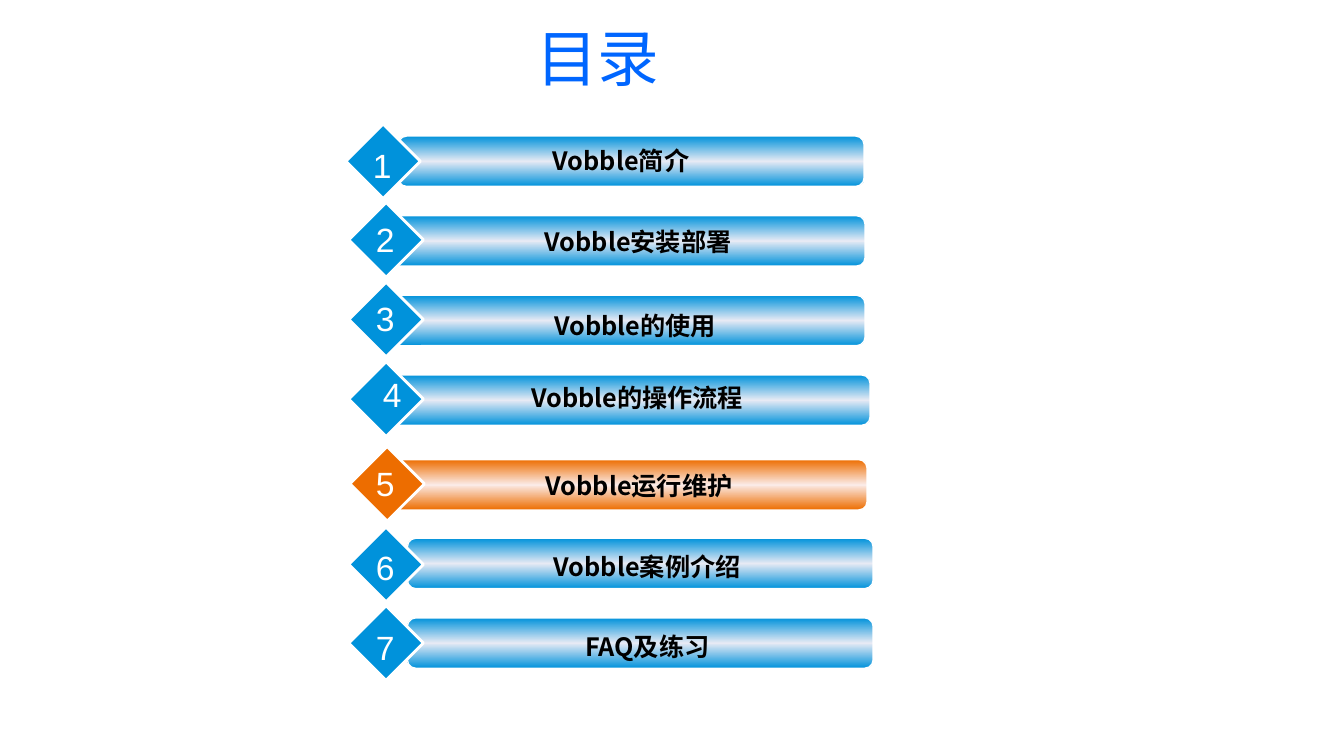
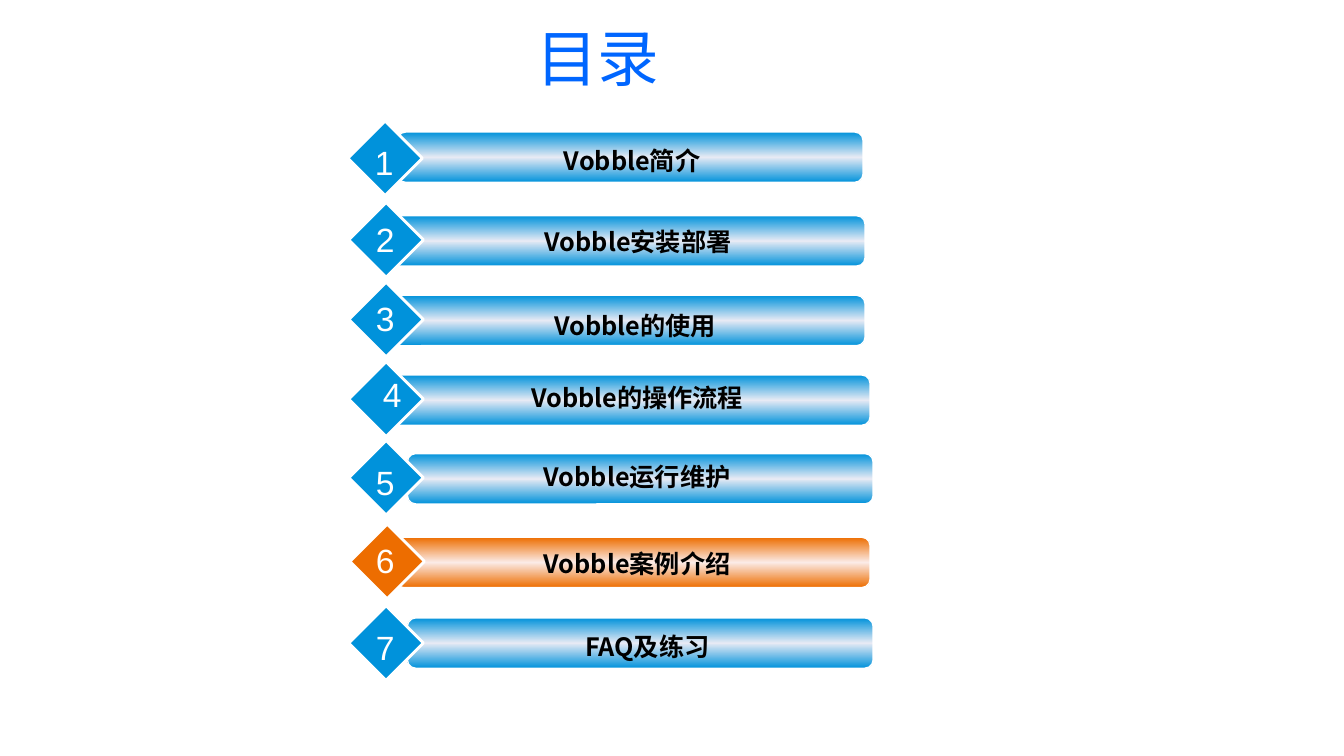
import copy
import dataclasses

import pptx
import pptx.dml.color
import pptx.enum.shapes
import pptx.enum.text
import pptx.oxml.ns
import pptx.util
from pptx.util import Inches

COLORS = {
    "title": "0066FF",
    "text": "000000",
    "white": "FFFFFF",
    "blue": "0092DB",
    "blue_light": "E7EAF4",
    "orange": "ED6D00",
    "orange_light": "FBEBE7",
}
CJK_FONT = "Noto Sans CJK SC"
NUMBER_FONT = "Arial"
BAR_HEIGHT = 0.5
DIAMOND_SIZE = 0.74
LABEL_SIZE = (4.2, 0.4)
NUMBER_SIZE = (0.38, 0.51)


@dataclasses.dataclass(frozen=True)
class Entry:
    label: str
    bar: tuple
    diamond: tuple
    label_center: float
    label_top: float
    number_center: float
    number_top: float
    current: bool = False


INTRODUCTION = Entry("Vobble简介", (3.95, 1.35, 4.62), (3.43, 1.23), 6.16, 1.39, 3.79, 1.39)
INSTALLATION = Entry("Vobble安装部署", (3.87, 2.14, 4.71), (3.46, 2.01), 6.33, 2.2, 3.82, 2.12)
USAGE = Entry("Vobble的使用", (3.87, 2.93, 4.71), (3.46, 2.8), 6.3, 3.03, 3.82, 2.91)
WORKFLOW = Entry("Vobble的操作流程", (3.88, 3.72, 4.75), (3.46, 3.59), 6.32, 3.74, 3.89, 3.66)
MAINTENANCE = Entry("Vobble运行维护", (4.04, 4.5, 4.62), (3.46, 4.37), 6.32, 4.53, 3.82, 4.53)
CASES = Entry("Vobble案例介绍", (4.04, 5.34, 4.62), (3.46, 5.23), 6.42, 5.42, 3.82, 5.38)
FAQ = Entry("FAQ及练习", (4.04, 6.13, 4.62), (3.46, 6.01), 6.42, 6.21, 3.82, 6.17)

AGENDAS = [
    [
        INTRODUCTION, INSTALLATION, USAGE, WORKFLOW,
        dataclasses.replace(
            MAINTENANCE, bar=(3.89, 4.56, 4.71), diamond=(3.47, 4.43),
            label_center=6.34, label_top=4.62, number_top=4.54, current=True),
        CASES, FAQ,
    ],
    [
        dataclasses.replace(
            INTRODUCTION, bar=(3.94, 1.31, 4.62), diamond=(3.45, 1.2),
            label_center=6.27, number_center=3.81, number_top=1.36),
        INSTALLATION, USAGE, WORKFLOW, MAINTENANCE,
        dataclasses.replace(
            CASES, bar=(3.92, 5.33, 4.71), diamond=(3.47, 5.2),
            label_center=6.32, label_top=5.39, number_top=5.31, current=True),
        FAQ,
    ],
]


def rgb(name):
    return pptx.dml.color.RGBColor.from_string(COLORS[name])


def add_text(container, text, left, top, width, height, *, size, color,
             font=CJK_FONT, bold=False, wrap=True, line_spacing=None,
             anchor=pptx.enum.text.MSO_ANCHOR.TOP):
    box = container.shapes.add_textbox(
        Inches(left), Inches(top), Inches(width), Inches(height))
    frame = box.text_frame
    frame.word_wrap = wrap
    frame.vertical_anchor = anchor
    paragraph = frame.paragraphs[0]
    paragraph.alignment = pptx.enum.text.PP_ALIGN.CENTER
    paragraph.line_spacing = line_spacing
    run = paragraph.add_run()
    run.text = text
    run.font.name = font
    run.font.size = pptx.util.Pt(size)
    run.font.bold = bold
    run.font.color.rgb = rgb(color)
    east_asian = run.font._element.makeelement(
        pptx.oxml.ns.qn("a:ea"), {"typeface": font})
    run.font._element.find(pptx.oxml.ns.qn("a:latin")).addnext(east_asian)


def add_outlined_shape(container, kind, left, top, width, height, line_width):
    shape = container.shapes.add_shape(
        kind, Inches(left), Inches(top), Inches(width), Inches(height))
    shape.shadow.inherit = False
    shape.line.color.rgb = rgb("white")
    shape.line.width = pptx.util.Pt(line_width)
    return shape


def fill_band_gradient(shape, edge, middle):
    shape.fill.gradient()
    shape.fill.gradient_angle = 270
    stop_list = shape._element.spPr.find(".//" + pptx.oxml.ns.qn("a:gsLst"))
    stop_list.append(copy.deepcopy(stop_list[0]))
    stops = zip(shape.fill.gradient_stops, (0, 0.5, 1), (edge, middle, edge))
    for stop, position, color in stops:
        stop.position = position
        stop.color.rgb = rgb(color)


def add_entry(slide, number, entry):
    group = slide.shapes.add_group_shape()
    color = "orange" if entry.current else "blue"
    shapes = pptx.enum.shapes.MSO_SHAPE
    bar = add_outlined_shape(
        group, shapes.ROUNDED_RECTANGLE, *entry.bar, BAR_HEIGHT, line_width=1)
    bar.adjustments[0] = 0.167
    fill_band_gradient(bar, color, color + "_light")
    diamond = add_outlined_shape(
        group, shapes.DIAMOND, *entry.diamond, DIAMOND_SIZE, DIAMOND_SIZE, line_width=2)
    diamond.fill.solid()
    diamond.fill.fore_color.rgb = rgb(color)
    add_text(group, entry.label, entry.label_center - LABEL_SIZE[0] / 2,
             entry.label_top, *LABEL_SIZE, size=18, color="text", bold=True)
    add_text(group, str(number), entry.number_center - NUMBER_SIZE[0] / 2,
             entry.number_top, *NUMBER_SIZE, size=24, color="white",
             font=NUMBER_FONT, wrap=False)


def add_agenda_slide(presentation, entries):
    slide = presentation.slides.add_slide(presentation.slide_layouts[6])
    add_text(slide, "目录", 1.43, 0.22, 9, 0.77, size=44, color="title",
             line_spacing=0.9, anchor=pptx.enum.text.MSO_ANCHOR.BOTTOM)
    for number, entry in enumerate(entries, start=1):
        add_entry(slide, number, entry)


def main():
    presentation = pptx.Presentation()
    presentation.slide_width = Inches(13.33)
    presentation.slide_height = Inches(7.5)
    for entries in AGENDAS:
        add_agenda_slide(presentation, entries)
    presentation.save("out.pptx")


if __name__ == "__main__":
    main()
